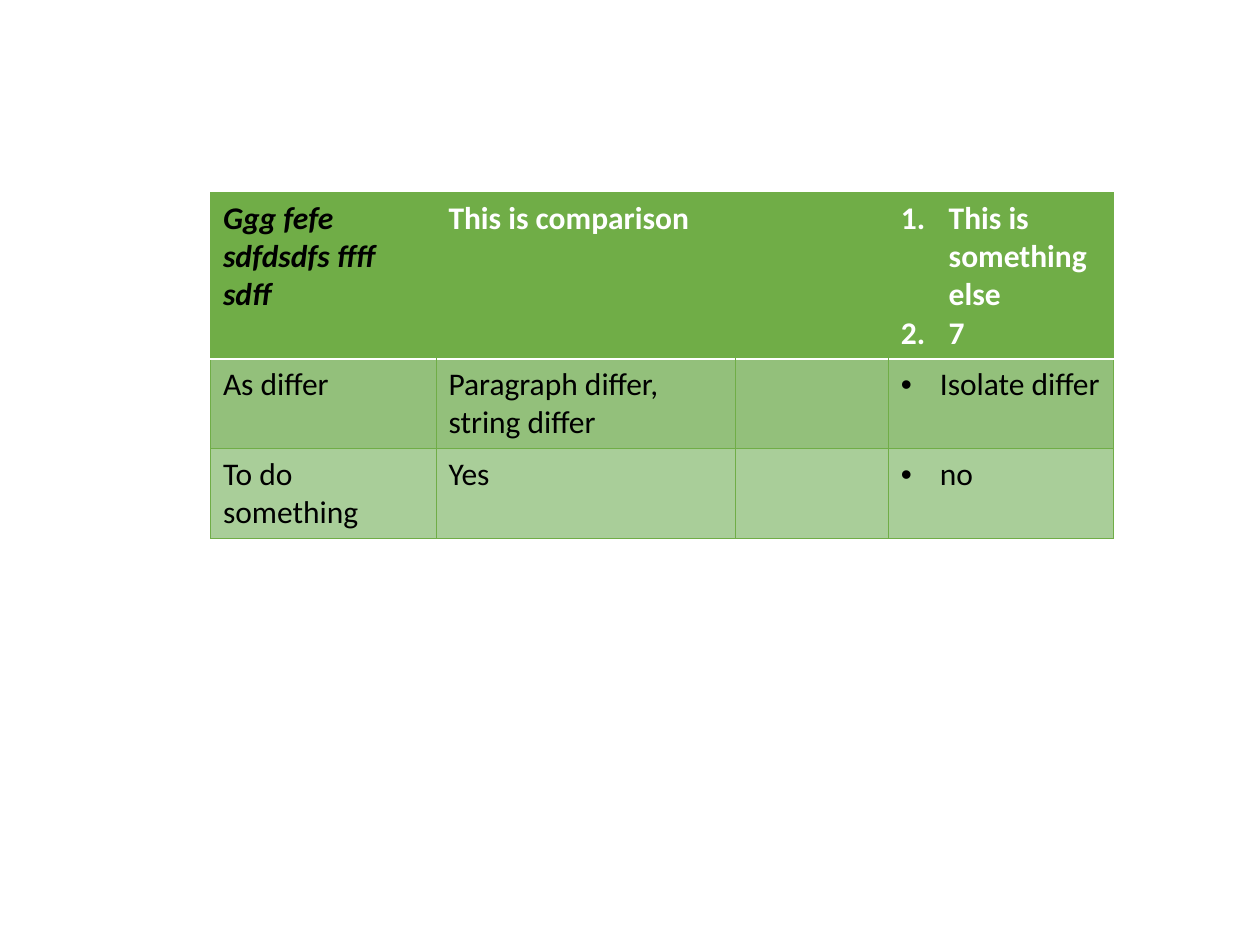
from dataclasses import dataclass
from typing import Optional

from lxml import etree
from pptx import Presentation
from pptx.dml.color import RGBColor
from pptx.oxml import ns
from pptx.util import Inches, Pt

GREEN = RGBColor(0x70, 0xAD, 0x47)
MID_GREEN = RGBColor(0x93, 0xC0, 0x7B)
PALE_GREEN = RGBColor(0xA9, 0xCE, 0x99)
WHITE = RGBColor(0xFF, 0xFF, 0xFF)
BLACK = RGBColor(0, 0, 0)
FONT = "Calibri"
PLAIN_STYLE = "{2D5ABB26-0587-4C30-8999-92F81FD0307C}"
COLUMN_WIDTHS = (1.79, 2.38, 1.21, 1.79)
ROW_HEIGHT = 0.41


@dataclass(frozen=True)
class ListStyle:
    """Hanging indent in inches and the XML tag and attributes of its marker."""
    indent: float
    tag: str
    attributes: tuple


@dataclass(frozen=True)
class CellText:
    """Paragraphs of one cell and how they look."""
    lines: tuple = ()
    list_style: Optional[ListStyle] = None
    color: RGBColor = BLACK
    bold: bool = False
    italic: bool = False


NUMBERED = ListStyle(0.38, "a:buAutoNum", (("type", "arabicPeriod"),))
BULLETED = ListStyle(0.31, "a:buChar", (("char", "•"),))

ROWS = (
    (GREEN, (
        CellText(("Ggg fefe sdfdsdfs ffff sdff",), bold=True, italic=True),
        CellText(("This is comparison",), color=WHITE, bold=True),
        CellText(),
        CellText(("This is something else", "7"), NUMBERED, WHITE, True),
    )),
    (MID_GREEN, (
        CellText(("As differ",)),
        CellText(("Paragraph differ, string differ",)),
        CellText(),
        CellText(("Isolate differ",), BULLETED),
    )),
    (PALE_GREEN, (
        CellText(("To do something",)),
        CellText(("Yes",)),
        CellText(),
        CellText(("no",), BULLETED),
    )),
)


def add_border(cell, side: str, color: Optional[RGBColor], width: float) -> None:
    """Add one cell border; no colour means no line."""
    properties = cell._tc.get_or_add_tcPr()
    line = etree.SubElement(properties, ns.qn(f"a:ln{side}"), w=str(Pt(width)))
    if color is None:
        etree.SubElement(line, ns.qn("a:noFill"))
    else:
        fill = etree.SubElement(line, ns.qn("a:solidFill"))
        etree.SubElement(fill, ns.qn("a:srgbClr"), val=str(color))


def add_borders(cell, row: int, column: int) -> None:
    """Border a cell, leaving the header without inner vertical lines."""
    header = row == 0
    last = len(COLUMN_WIDTHS) - 1
    add_border(cell, "L", None if header and column > 0 else GREEN, 0.5)
    add_border(cell, "R", None if header and column < last else GREEN, 0.5)
    add_border(cell, "T", *((WHITE, 1) if row == 1 else (GREEN, 0.5)))
    add_border(cell, "B", *((WHITE, 1) if header else (GREEN, 0.5)))


def add_marker(paragraph, style: ListStyle) -> None:
    """Give a paragraph a hanging indent and its list marker."""
    properties = paragraph._p.get_or_add_pPr()
    properties.set("marL", str(Inches(style.indent)))
    properties.set("indent", str(-Inches(style.indent)))
    if style is BULLETED:
        etree.SubElement(properties, ns.qn("a:buFont"), typeface="Arial")
    etree.SubElement(properties, ns.qn(style.tag), dict(style.attributes))


def write_text(cell, content: CellText) -> None:
    """Write the paragraphs of a cell."""
    frame = cell.text_frame
    for index, line in enumerate(content.lines):
        paragraph = frame.add_paragraph() if index else frame.paragraphs[0]
        if content.list_style:
            add_marker(paragraph, content.list_style)
        run = paragraph.add_run()
        run.text = line
        run.font.name = FONT
        run.font.size = Pt(18)
        run.font.bold = content.bold
        run.font.italic = content.italic
        run.font.color.rgb = content.color


def add_comparison_table(slide) -> None:
    """Add the comparison table."""
    frame = slide.shapes.add_table(
        len(ROWS), len(COLUMN_WIDTHS), Inches(1.67), Inches(1.53),
        Inches(sum(COLUMN_WIDTHS)), Inches(ROW_HEIGHT * len(ROWS)))
    table = frame.table
    table.horz_banding = False
    table._tbl.tblPr.find(ns.qn("a:tableStyleId")).text = PLAIN_STYLE
    for column, width in zip(table.columns, COLUMN_WIDTHS):
        column.width = Inches(width)
    for row, (fill_color, contents) in enumerate(ROWS):
        table.rows[row].height = Inches(ROW_HEIGHT)
        for column, content in enumerate(contents):
            cell = table.cell(row, column)
            add_borders(cell, row, column)
            cell.fill.solid()
            cell.fill.fore_color.rgb = fill_color
            write_text(cell, content)


def main() -> None:
    """Build and save the presentation."""
    presentation = Presentation()
    presentation.slide_width = Inches(10)
    presentation.slide_height = Inches(7.5)
    slide = presentation.slides.add_slide(presentation.slide_layouts[6])
    add_comparison_table(slide)
    presentation.save("out.pptx")


main()
